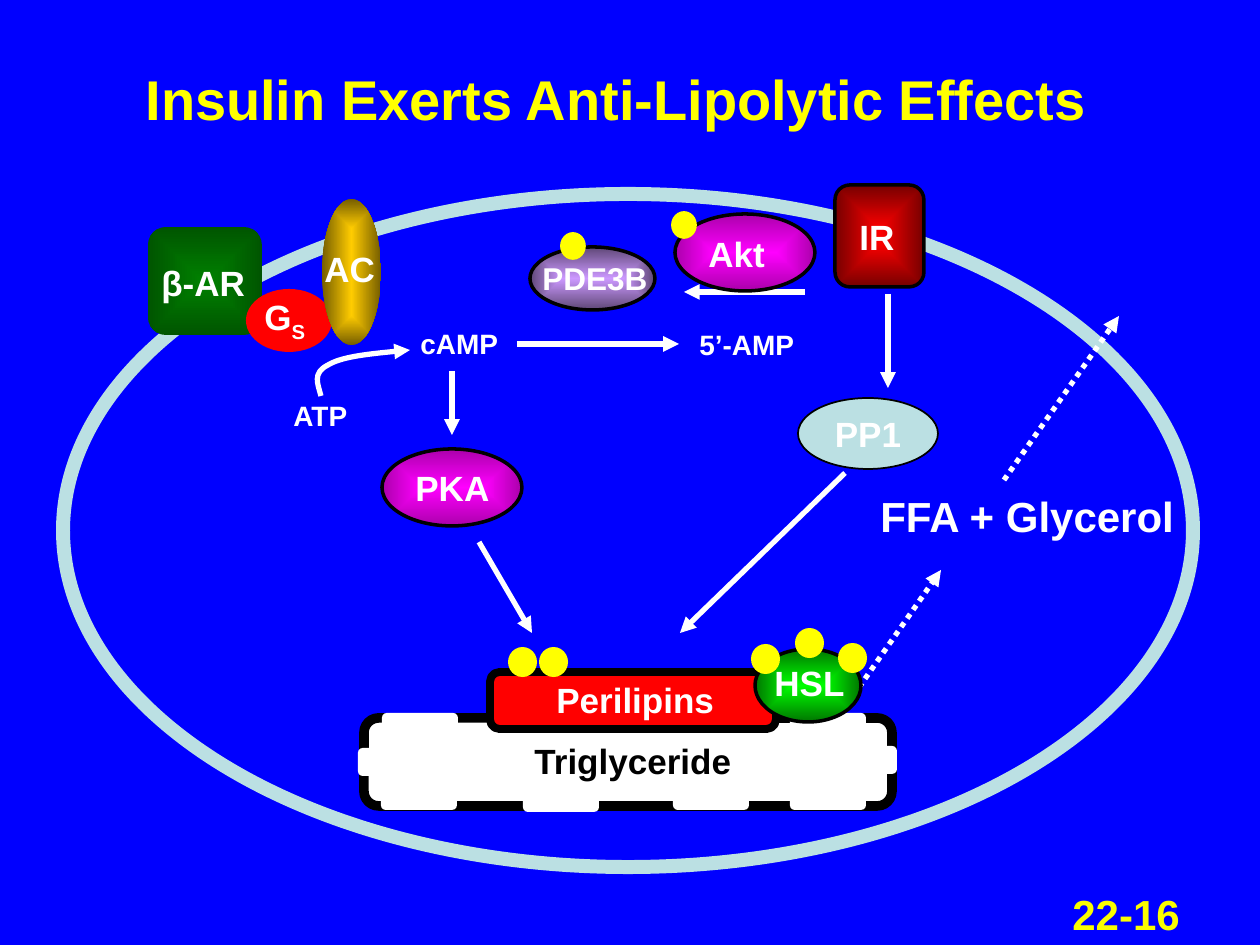
from lxml.etree import SubElement
from pptx import Presentation
from pptx.dml.color import RGBColor
from pptx.enum.dml import MSO_LINE
from pptx.enum.shapes import MSO_CONNECTOR, MSO_SHAPE
from pptx.enum.text import MSO_ANCHOR, PP_ALIGN
from pptx.oxml.ns import qn
from pptx.util import Emu, Pt

SCALE = 914400 / 126
OVAL = MSO_SHAPE.OVAL
ROUNDED = MSO_SHAPE.ROUNDED_RECTANGLE
WHITE, BLACK, YELLOW, RED, PALE = "FFFFFF", "000000", "FFFF00", "FF0000", "BBE0E3"
MAGENTA = ("FF00FF", "AB00AB")


def px(*lengths):
    return [Emu(round(length * SCALE)) for length in lengths]


def color(value):
    return RGBColor.from_string(value)


def write(frame, text, size=20, ink=WHITE, align=PP_ALIGN.LEFT,
          anchor=MSO_ANCHOR.TOP, wrap=True, subscript=""):
    frame.word_wrap = wrap
    frame.vertical_anchor = anchor
    para = frame.paragraphs[0]
    para.alignment = align
    for content, baseline in ((text, None), (subscript, "-25000")):
        if not content:
            continue
        span = para.add_run()
        span.text = content
        span.font.name = "Arial"
        span.font.size = Pt(size)
        span.font.bold = True
        span.font.color.rgb = color(ink)
        if baseline:
            span.font._element.set("baseline", baseline)


def add_label(page, bounds, text, **style):
    box = page.shapes.add_textbox(*px(*bounds))
    write(box.text_frame, text, **style)


def radial_fill(shape, inner, outer):
    shape.fill.gradient()
    for stop, value in zip(shape.fill.gradient_stops, (inner, outer)):
        stop.color.rgb = color(value)
    gradient = shape._element.spPr.find(qn("a:gradFill"))
    gradient.remove(gradient.find(qn("a:lin")))
    spread = SubElement(gradient, qn("a:path"), path="shape")
    SubElement(spread, qn("a:fillToRect"), l="50000", t="50000", r="50000", b="50000")


def add_figure(page, kind, bounds, fill=None, line=None, width=2):
    shape = page.shapes.add_shape(kind, *px(*bounds))
    shape.shadow.inherit = False
    if isinstance(fill, tuple):
        radial_fill(shape, *fill)
    elif fill:
        shape.fill.solid()
        shape.fill.fore_color.rgb = color(fill)
    else:
        shape.fill.background()
    if line:
        shape.line.color.rgb = color(line)
        shape.line.width = Pt(width)
    else:
        shape.line.fill.background()
    return shape


def style_arrow(shape, arrow_end, dotted=False):
    shape.line.color.rgb = color(WHITE)
    shape.line.width = Pt(3)
    if dotted:
        shape.line.dash_style = MSO_LINE.ROUND_DOT
    SubElement(shape.line._get_or_add_ln(), qn(arrow_end), type="triangle")


def add_arrow(page, start, end, dotted=False):
    arrow = page.shapes.add_connector(MSO_CONNECTOR.STRAIGHT, *px(*start, *end))
    style_arrow(arrow, "a:tailEnd", dotted)
    SubElement(arrow._element.spPr, qn("a:effectLst"))


def add_curved_arrow(page, start, points):
    builder = page.shapes.build_freeform(*start, scale=SCALE)
    builder.add_line_segments(points, close=False)
    curve = builder.convert_to_shape()
    curve.shadow.inherit = False
    curve.fill.background()
    outline = next(curve._element.iter(qn("a:path")))
    segments = outline.findall(qn("a:lnTo"))
    for first in range(0, len(segments), 3):
        bezier = SubElement(outline, qn("a:cubicBezTo"))
        for segment in segments[first:first + 3]:
            bezier.append(segment[0])
            outline.remove(segment)
    style_arrow(curve, "a:headEnd")


def add_dots(page, positions, size, line=None):
    for position in positions:
        add_figure(page, OVAL, (*position, *size), YELLOW, line, 1)


def draw_receptors(page):
    add_figure(page, ROUNDED, (148, 227, 114, 108), ("008000", "005500"))
    add_label(page, (149, 255, 126, 54), "β-AR")
    add_figure(page, OVAL, (246, 289, 86, 63), RED)
    add_label(page, (252, 289, 86, 54), "G", subscript="S")
    add_figure(page, OVAL, (322, 199, 59, 146), ("FFCC00", "765E00"))
    add_label(page, (312, 241, 84, 54), "AC")
    add_figure(page, ROUNDED, (835, 185, 89, 102), (RED, "760000"), BLACK)
    add_label(page, (847, 209, 79, 54), "IR")


def draw_droplet(page):
    add_figure(page, ROUNDED, (364, 718, 528, 88), WHITE, BLACK, 5.5)
    add_figure(page, ROUNDED, (490, 672, 286, 57), RED, BLACK, 4.5)
    add_label(page, (544, 672, 263, 54), "Perilipins")
    add_label(page, (522, 733, 411, 54), "Triglyceride", ink=BLACK)
    gaps = [(382, 713), (790, 713), (358, 748), (821, 746),
            (381, 782), (523, 784), (673, 782), (790, 782)]
    for gap in gaps:
        add_figure(page, ROUNDED, (*gap, 76, 28), WHITE)
    add_figure(page, OVAL, (755, 649, 106, 73), ("00FF00", "007600"), BLACK)
    add_label(page, (762, 655, 100, 54), "HSL")
    add_dots(page, [(508, 647), (539, 647), (751, 644), (795, 628), (838, 643)], (29, 30))


def draw_enzymes(page):
    add_figure(page, OVAL, (382, 449, 140, 77), MAGENTA, BLACK)
    add_label(page, (403, 460, 101, 54), "PKA")
    add_figure(page, OVAL, (530, 247, 125, 63), ("CC99FF", "5E4776"), BLACK)
    add_label(page, (530, 253, 155, 50), "PDE3B", size=18)
    add_figure(page, OVAL, (675, 214, 140, 77), MAGENTA, BLACK)
    add_label(page, (696, 226, 101, 54), "Akt")
    add_dots(page, [(672, 212), (561, 233)], (24, 26), YELLOW)
    phosphatase = add_figure(page, OVAL, (798, 398, 140, 71), PALE, BLACK, 1)
    write(phosphatase.text_frame, "PP1", align=PP_ALIGN.CENTER,
          anchor=MSO_ANCHOR.MIDDLE, wrap=False)


def draw_pathway(page):
    add_label(page, (281, 392, 122, 47), "ATP", size=16)
    add_label(page, (408, 320, 122, 47), "cAMP", size=16)
    add_label(page, (687, 321, 165, 47), "5’-AMP", size=16)
    add_label(page, (868, 484, 326, 63), "FFA + Glycerol", size=24)
    add_curved_arrow(page, (410, 350), [(375, 353), (341, 357), (328, 365),
                                        (312, 373), (318, 384), (321, 396)])
    for start, end in [((452, 371), (452, 435)), ((479, 542), (532, 633)),
                       ((517, 344), (679, 344)), ((805, 292), (684, 292)),
                       ((888, 294), (888, 388)), ((845, 473), (680, 633))]:
        add_arrow(page, start, end)
    for start, end in [((853, 696), (941, 570)), ((1004, 480), (1119, 316))]:
        add_arrow(page, start, end, dotted=True)


def main():
    deck = Presentation()
    deck.slide_width, deck.slide_height = px(1260, 945)
    page = deck.slides.add_slide(deck.slide_layouts[6])
    page.background.fill.solid()
    page.background.fill.fore_color.rgb = color("0000FF")
    add_label(page, (81, 19, 1071, 158), "Insulin Exerts Anti-Lipolytic Effects", size=32,
              ink=YELLOW, align=PP_ALIGN.CENTER, anchor=MSO_ANCHOR.MIDDLE)
    add_figure(page, OVAL, (63, 194, 1130, 673), line=PALE, width=8)
    draw_receptors(page)
    draw_pathway(page)
    draw_enzymes(page)
    draw_droplet(page)
    add_label(page, (1060, 882, 134, 63), "22-16", size=24, ink="FAFD00", wrap=False)
    deck.save("out.pptx")


if __name__ == "__main__":
    main()
